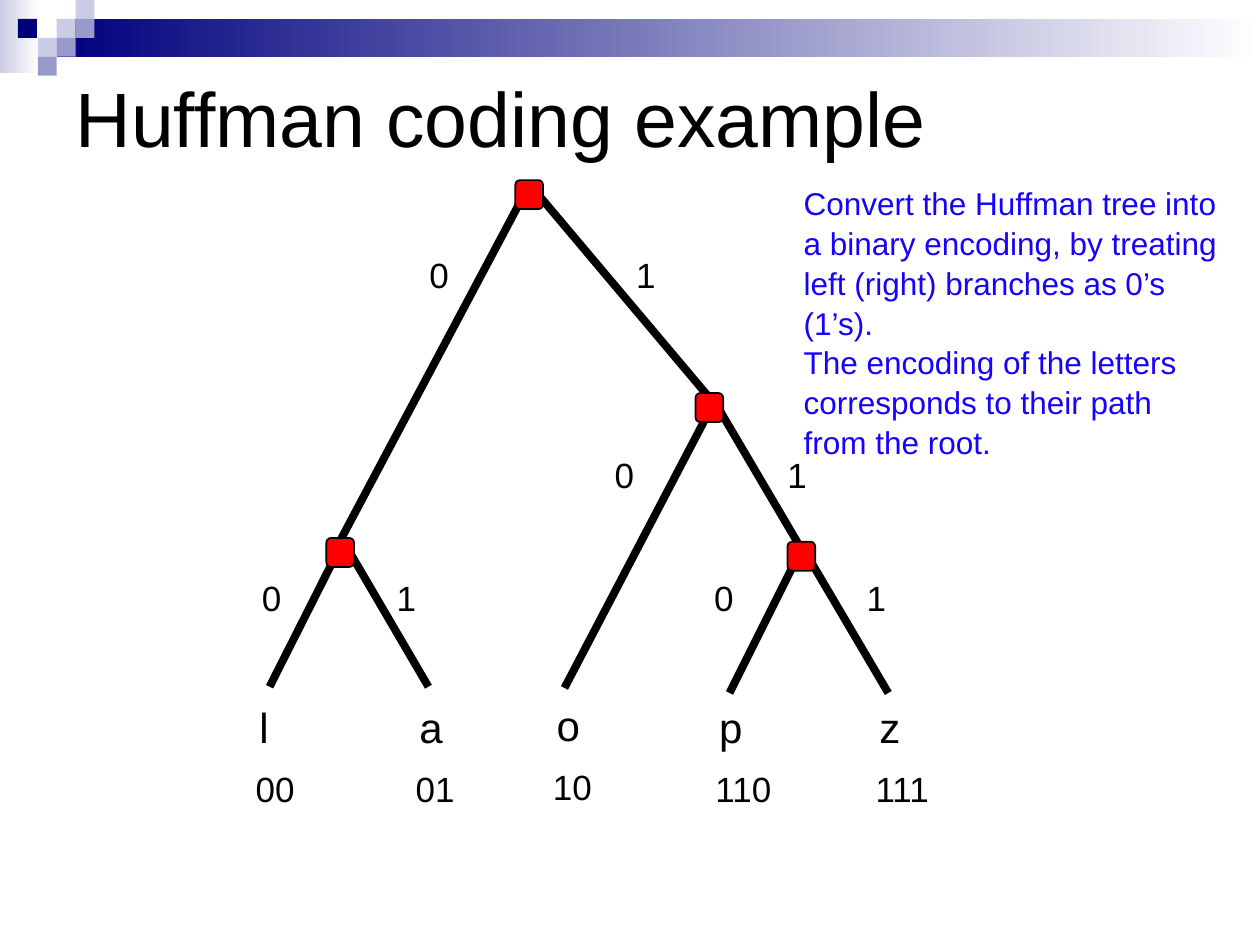
"""Build the Huffman coding example slide: a binary tree with its branch bits and letter codes."""
import pptx
import pptx.dml.color
import pptx.enum.shapes
import pptx.enum.text
import pptx.util

deck = pptx.Presentation()
deck.slide_width = pptx.util.Inches(10)
deck.slide_height = pptx.util.Inches(7.5)
cell = deck.slide_width / 100
page = deck.slides.add_slide(deck.slide_layouts[5])
shapes = page.shapes
preset = pptx.enum.shapes.MSO_SHAPE


def color(hex_text):
    return pptx.dml.color.RGBColor.from_string(hex_text)


def write(box, lines, size, ink, spacing=1.0):
    frame = box.text_frame
    frame.word_wrap = True
    for index, line in enumerate(lines):
        para = frame.add_paragraph() if index else frame.paragraphs[0]
        para.alignment = pptx.enum.text.PP_ALIGN.LEFT
        para.line_spacing = spacing
        span = para.add_run()
        span.text = line
        span.font.name = "Arial"
        span.font.size = pptx.util.Pt(size)
        span.font.color.rgb = color(ink)


bands = [(0, 0, 3.1, 5.8, "CCCCE6"), (4.5, 1.5, 95.5, 3, "00007D")]
for left, top, width, height, start in bands:
    band = shapes.add_shape(preset.RECTANGLE, *(int(n * cell) for n in (left, top, width, height)))
    band.shadow.inherit = False
    band.line.fill.background()
    band.fill.gradient()
    band.fill.gradient_angle = 0
    for stop, tint in zip(band.fill.gradient_stops, (start, "FFFFFF")):
        stop.color.rgb = color(tint)

tile = 1.5 * cell
tiles = [
    (3, 1, "CCCCE6"), (4, 0, "CCCCE6"), (4, 1, "9999CC"), (2, 2, "CCCCE6"),
    (0.95, 1, "00007D"), (3, 2, "9999CC"), (2, 3, "9999CC"),
]
for column, row, tint in tiles:
    square = shapes.add_shape(preset.RECTANGLE, int(column * tile), int(row * tile), int(tile), int(tile))
    square.shadow.inherit = False
    square.line.fill.background()
    square.fill.solid()
    square.fill.fore_color.rgb = color(tint)

title = shapes.title
title.left, title.top, title.width, title.height = (int(n * cell) for n in (5, 5, 90, 8.6))
title.text_frame.vertical_anchor = pptx.enum.text.MSO_ANCHOR.MIDDLE
write(title, ["Huffman coding example"], 44, "000000")

branches = [
    (26.9, 43.1, 41.3, 16.0), (56.5, 31.8, 42.6, 15.3),
    (44.8, 54.6, 55.9, 33.4), (63.5, 43.4, 57.2, 32.7),
    (57.9, 55.0, 62.9, 45.0), (70.5, 55.0, 64.2, 44.3),
    (21.4, 54.5, 26.4, 44.6), (34.0, 54.5, 27.8, 43.9),
]
for ends in branches:
    branch = shapes.add_connector(
        pptx.enum.shapes.MSO_CONNECTOR.STRAIGHT, *(int(n * cell) for n in ends)
    )
    branch.line.color.rgb = color("000000")
    branch.line.width = pptx.util.Pt(4.5)
    properties = branch.element.spPr
    properties.append(properties.makeelement(pptx.oxml.ns.qn("a:effectLst"), {}))

for left, top in [(40.9, 14.3), (55.2, 31.2), (62.5, 43), (25.9, 42.7)]:
    node = shapes.add_shape(
        preset.ROUNDED_RECTANGLE, *(int(n * cell) for n in (left, top, 2.2, 2.3))
    )
    node.shadow.inherit = False
    node.fill.solid()
    node.fill.fore_color.rgb = color("FF0000")
    node.line.color.rgb = color("000000")
    node.line.width = pptx.util.Pt(1)

labels = [
    ("0", 33.1, 19.6, 20), ("1", 49.5, 19.6, 20),
    ("0", 47.8, 35.5, 20), ("1", 61.5, 35.5, 20),
    ("0", 19.8, 45.3, 20), ("1", 30.5, 45.3, 20),
    ("0", 55.7, 45.3, 20), ("1", 67.8, 45.3, 20),
]
leaves = [
    ("l", "00", 19.6, 55.2), ("a", "01", 32.3, 55.2), ("o", "10", 43.2, 55),
    ("p", "110", 56.1, 55.2), ("z", "111", 68.8, 55.2),
]
for letter, code, left, top in leaves:
    labels += [(letter, left, top, 24), (code, left - 0.3, top + 5.25, 20)]
for label, left, top, size in labels:
    height = 8.1 if size == 24 else 4.4
    box = shapes.add_textbox(*(int(n * cell) for n in (left, top, 8.8, height)))
    write(box, [label], size, "000000")

explanation = shapes.add_textbox(*(int(n * cell) for n in (62.8, 14, 35, 22.2)))
write(explanation, [
    "Convert the Huffman tree into a binary encoding, by treating left (right) branches as 0’s (1’s).",
    "The encoding of the letters corresponds to their path from the root.",
], 18, "1503FB", 1.05)

deck.save("out.pptx")
